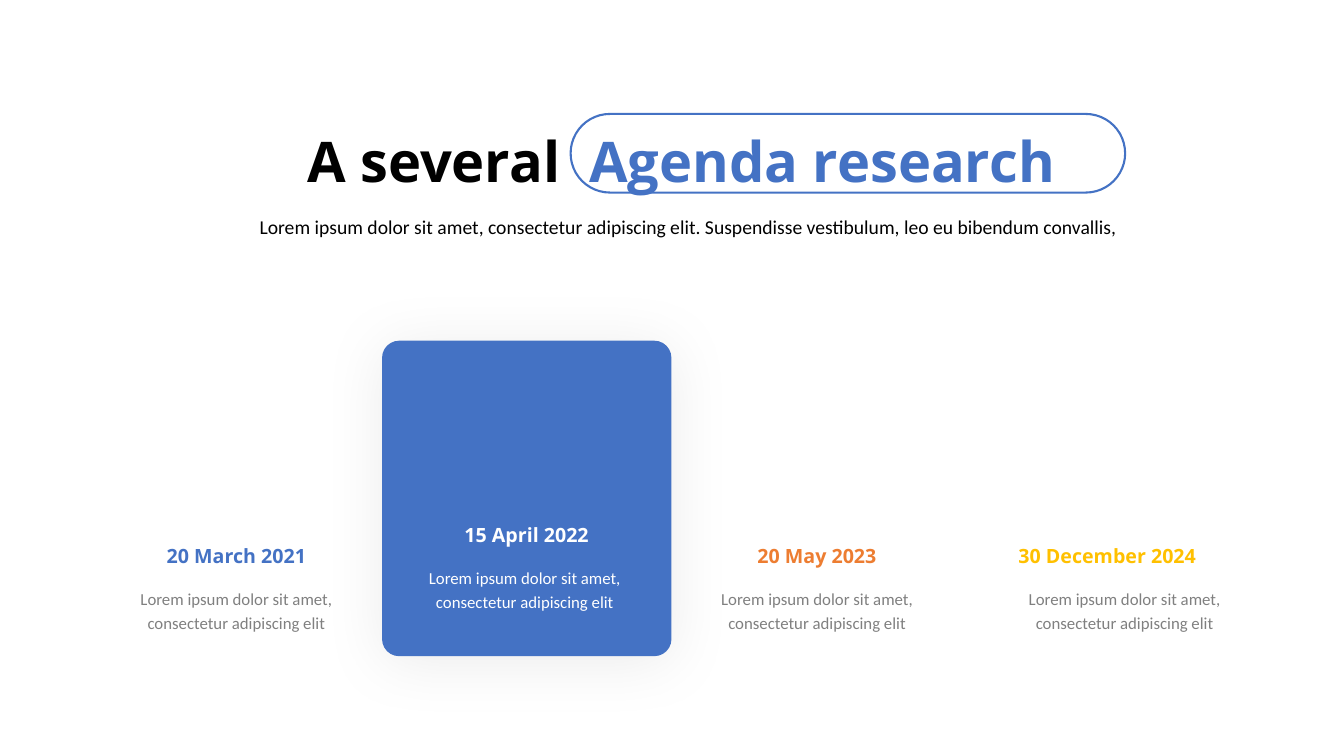
from lxml import etree
from pptx import Presentation
from pptx import util as u
from pptx.dml.color import RGBColor
from pptx.enum import shapes, text
from pptx.oxml.ns import qn

WIDTH, HEIGHT = u.Inches(13.33), u.Inches(7.5)

BLUE = RGBColor(0x44, 0x72, 0xC4)
ORANGE = RGBColor(0xED, 0x7D, 0x31)
GOLD = RGBColor(0xFF, 0xC0, 0x00)
GRAY = RGBColor(0x80, 0x80, 0x80)
BLACK = RGBColor(0, 0, 0)
WHITE = RGBColor(0xFF, 0xFF, 0xFF)

HEAD_FONT, BODY_FONT = "Open Sans", "Calibri"

INTRO = ("Lorem ipsum dolor sit amet, consectetur adipiscing elit. "
         "Suspendisse vestibulum, leo eu bibendum convallis,")
DETAIL = "Lorem ipsum dolor sit amet, consectetur adipiscing elit"

# Date, date colour, detail colour, left of the detail, rise above the row
MILESTONES = [
    ("20 March 2021", BLUE, GRAY, 9.3, 0),
    ("15 April 2022", WHITE, WHITE, 30.76, 2.75),
    ("20 May 2023", ORANGE, GRAY, 52.51, 0),
    ("30 December 2024", GOLD, GRAY, 75.39, 0),
]
FIRST_DATE, DATE_STEP = 8.55, 21.6
DATE_ROW, DETAIL_ROW = 70.67, 76.67


def area(left, top, width, height):
    """Turn percentages of the slide's size into lengths."""
    return (int(WIDTH * left / 100), int(HEIGHT * top / 100),
            int(WIDTH * width / 100), int(HEIGHT * height / 100))


def add_text(parent, box, pieces, size, font, bold=False, spacing=None):
    """Add a centred paragraph made of (wording, colour) pieces."""
    frame = parent.add_textbox(*area(*box)).text_frame
    frame.word_wrap = True
    frame.auto_size = text.MSO_AUTO_SIZE.SHAPE_TO_FIT_TEXT
    paragraph = frame.paragraphs[0]
    paragraph.alignment = text.PP_ALIGN.CENTER
    paragraph.line_spacing = spacing
    for wording, colour in pieces:
        run = paragraph.add_run()
        run.text = wording
        run.font.size = u.Pt(size)
        run.font.name = font
        run.font.bold = bold
        run.font.color.rgb = colour
    return frame


def add_rounded(parent, box, rounding):
    rounded = parent.add_shape(shapes.MSO_SHAPE.ROUNDED_RECTANGLE, *area(*box))
    rounded.adjustments[0] = rounding
    rounded.shadow.inherit = False
    return rounded


def add_soft_shadow(shape):
    effects = shape._element.spPr.find(qn("a:effectLst"))
    shadow = etree.SubElement(
        effects, qn("a:outerShdw"), blurRad=str(u.Pt(45)), dist=str(u.Pt(4)),
        dir="5400000", algn="t", rotWithShape="0")
    colour = etree.SubElement(shadow, qn("a:srgbClr"), val=str(BLACK))
    etree.SubElement(colour, qn("a:alpha"), val="7000")


def add_highlight_card(parent):
    card = add_rounded(parent, (28.43, 45.07, 21.53, 41.73), 0.059)
    card.fill.solid()
    card.fill.fore_color.rgb = BLUE
    card.line.fill.background()
    add_soft_shadow(card)


def add_heading(parent):
    heading = parent.add_group_shape().shapes
    title = add_text(
        heading, (11.03, 14.27, 80.42, 11.33),
        [("A several", BLACK), (" ", BLACK), ("Agenda research", BLUE)],
        40, HEAD_FONT, bold=True, spacing=1.2)
    title.margin_right = u.Inches(0.25)
    # Letter spacing widens the gap before the outlined words
    gap = title.paragraphs[0].runs[1]
    gap.font._element.set("spc", "1040")

    pill = add_rounded(heading, (42.46, 15.07, 41.26, 10.4), 0.5)
    pill.fill.background()
    pill.line.color.rgb = BLUE
    pill.line.width = u.Pt(1.5)


def add_milestone(parent, column, milestone):
    date, date_colour, detail_colour, detail_left, rise = milestone
    date_left = FIRST_DATE + column * DATE_STEP
    label = add_text(parent, (date_left, DATE_ROW - rise, 18.08, 5.07),
                     [(date, date_colour)], 14, HEAD_FONT, bold=True, spacing=1.3)
    label.vertical_anchor = text.MSO_ANCHOR.BOTTOM
    label.paragraphs[0].space_after = u.Pt(6)
    add_text(parent, (detail_left, DETAIL_ROW - rise, 16.58, 7.6),
             [(DETAIL, detail_colour)], 12, BODY_FONT, spacing=1.2)


def main():
    deck = Presentation()
    deck.slide_width, deck.slide_height = WIDTH, HEIGHT
    agenda = deck.slides.add_slide(deck.slide_layouts[6]).shapes

    add_highlight_card(agenda)
    add_heading(agenda)
    add_text(agenda, (17.85, 27.73, 66.77, 4.53), [(INTRO, BLACK)], 14, BODY_FONT)
    for column, milestone in enumerate(MILESTONES):
        add_milestone(agenda, column, milestone)

    deck.save("out.pptx")


if __name__ == "__main__":
    main()
